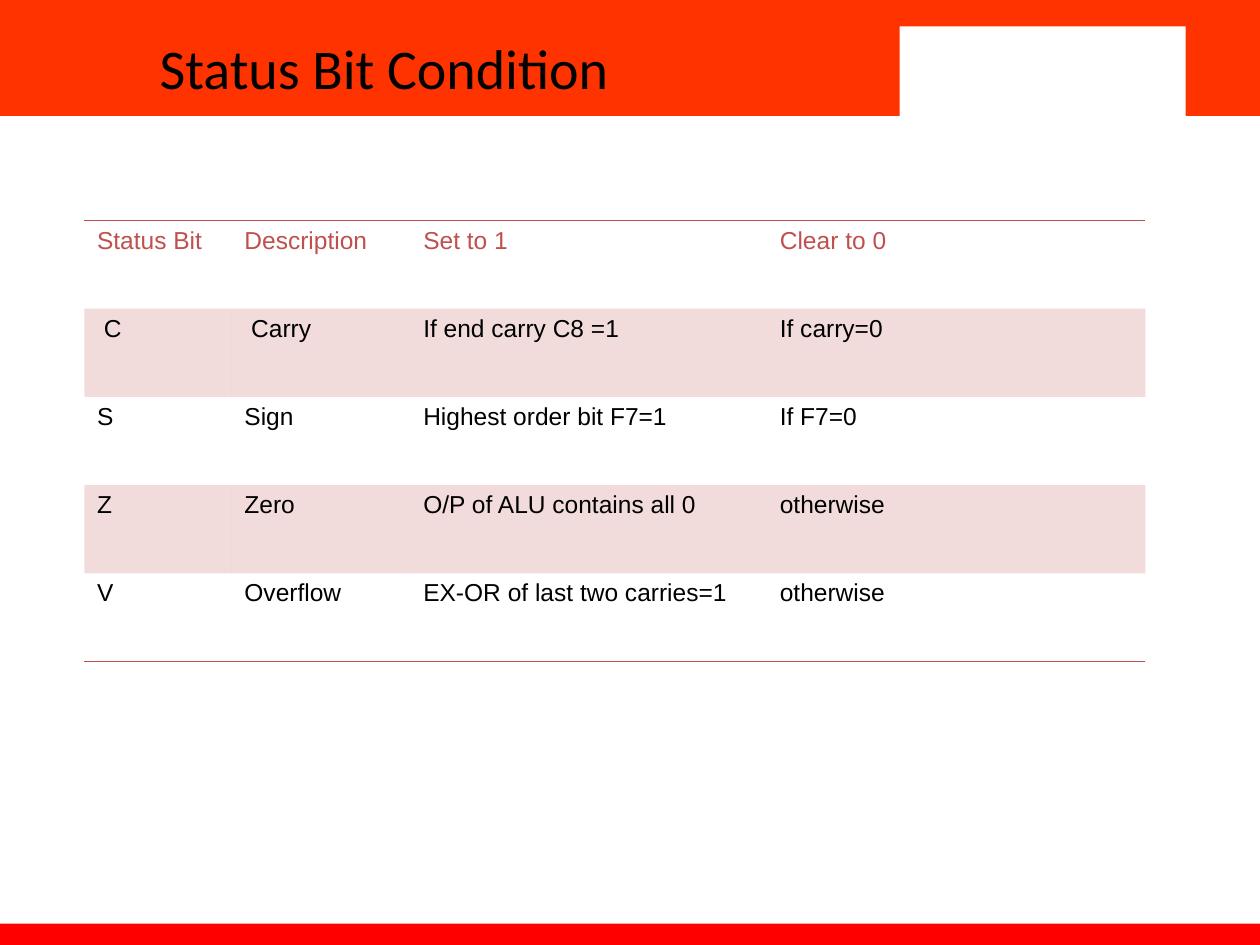
from lxml.etree import SubElement
from pptx import Presentation
from pptx.dml.color import RGBColor
from pptx.enum.shapes import MSO_SHAPE as Shape
from pptx.enum.text import PP_ALIGN as Align
from pptx.oxml import parse_xml
from pptx.oxml.ns import nsdecls, qn
from pptx.util import Inches, Pt

ORANGE = RGBColor(0xFF, 0x33, 0x00)
RED = RGBColor(0xFF, 0x00, 0x00)
WHITE = RGBColor(0xFF, 0xFF, 0xFF)
BLACK = RGBColor(0x00, 0x00, 0x00)
BRICK = RGBColor(0xC0, 0x50, 0x4D)

NO_STYLE = "{2D5ABB26-0587-4C30-8999-92F81FD0307C}"
COLUMN_WIDTHS = [1.17, 1.42, 2.83, 3]
ROWS = [
    ["Status Bit", "Description", "Set to 1", "Clear to 0"],
    [" C", " Carry", "If end carry C8 =1", "If carry=0"],
    ["S", "Sign", "Highest order bit F7=1", "If F7=0"],
    ["Z", "Zero", "O/P of ALU contains all 0", "otherwise"],
    ["V", "Overflow", "EX-OR of last two carries=1", "otherwise"],
]


def add_block(slide, left, top, width, height, color):
    """Add a plain filled rectangle."""
    shape = slide.shapes.add_shape(
        Shape.RECTANGLE, Inches(left), Inches(top), Inches(width), Inches(height))
    shape.shadow.inherit = False
    shape.fill.solid()
    shape.fill.fore_color.rgb = color
    shape.line.fill.background()


def style_runs(text_frame, font_name, size, color):
    """Give every run in a text frame the same font."""
    for paragraph in text_frame.paragraphs:
        for run in paragraph.runs:
            run.font.name = font_name
            run.font.size = Pt(size)
            run.font.color.rgb = color


def add_frame(slide, width, height):
    """Add the header band with its white panel and the footer strip."""
    add_block(slide, 0, 0, width, 0.92, ORANGE)
    add_block(slide, 0, height - 0.17, width, 0.22, RED)
    add_block(slide, 7.14, 0.21, 2.27, 0.75, WHITE)


def add_title(slide, left, top, width, height, text):
    """Add the centred slide title."""
    box = slide.shapes.add_textbox(
        Inches(left), Inches(top), Inches(width), Inches(height))
    box.text_frame.word_wrap = True
    box.text_frame.text = text
    box.text_frame.paragraphs[0].alignment = Align.CENTER
    style_runs(box.text_frame, "Calibri", 32, BLACK)


def add_border(cell, tag, color):
    """Draw a thin line on one edge of a cell."""
    line = parse_xml(
        f'<a:{tag} {nsdecls("a")} w="{Pt(0.96)}"><a:solidFill>'
        f'<a:srgbClr val="{color}"/></a:solidFill></a:{tag}>')
    cell._tc.get_or_add_tcPr().insert(0, line)


def shade_cell(cell, color, opacity):
    """Fill a cell with a translucent colour."""
    cell.fill.solid()
    cell.fill.fore_color.rgb = color
    srgb = next(cell._tc.tcPr.iter(qn("a:srgbClr")))
    SubElement(srgb, qn("a:alpha")).set("val", str(opacity * 1000))


def add_status_table(slide, left, top, row_height):
    """Add the status bit table with shaded odd rows and outer rules."""
    frame = slide.shapes.add_table(
        len(ROWS), len(COLUMN_WIDTHS), Inches(left), Inches(top),
        Inches(sum(COLUMN_WIDTHS)), Inches(row_height * len(ROWS)))
    table = frame.table
    table._tbl.tblPr.find(qn("a:tableStyleId")).text = NO_STYLE
    table.horz_banding = False
    for column, width in zip(table.columns, COLUMN_WIDTHS):
        column.width = Inches(width)
    for row_index, texts in enumerate(ROWS):
        table.rows[row_index].height = Inches(row_height)
        for column_index, text in enumerate(texts):
            cell = table.cell(row_index, column_index)
            cell.text_frame.text = text
            style_runs(cell.text_frame, "Arial", 14, BLACK if row_index else BRICK)
            if row_index % 2:
                shade_cell(cell, BRICK, 20)
            else:
                cell.fill.background()
            if row_index == 0:
                add_border(cell, "lnT", BRICK)
            elif row_index == len(ROWS) - 1:
                add_border(cell, "lnB", BRICK)


def main():
    """Build and save the slide."""
    presentation = Presentation()
    presentation.slide_width = Inches(10)
    presentation.slide_height = Inches(7.5)
    slide = presentation.slides.add_slide(presentation.slide_layouts[6])
    add_frame(slide, 10, 7.5)
    add_title(slide, -1.16, 0.22, 8.42, 0.63, "Status Bit Condition")
    add_status_table(slide, 0.67, 1.75, 0.7)
    presentation.save("out.pptx")


if __name__ == "__main__":
    main()
